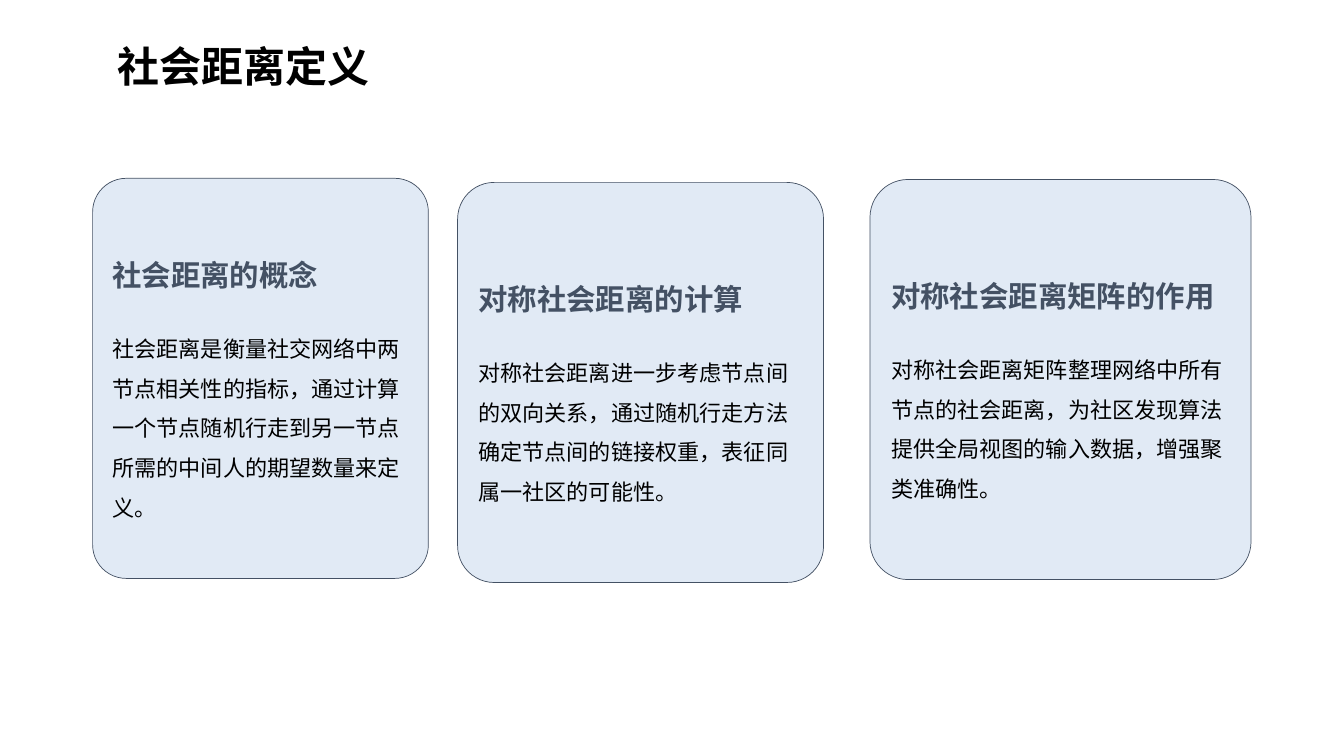
from dataclasses import dataclass

from lxml import etree
from pptx import Presentation
from pptx.dml.color import RGBColor
from pptx.enum.shapes import MSO_SHAPE
from pptx.enum.text import MSO_ANCHOR, MSO_AUTO_SIZE, PP_ALIGN
from pptx.oxml.ns import qn
from pptx.util import Pt

ROUNDED = MSO_SHAPE.ROUNDED_RECTANGLE
MIDDLE = MSO_ANCHOR.MIDDLE
LEFT = PP_ALIGN.LEFT
NO_FIT = MSO_AUTO_SIZE.NONE
TITLE_ONLY = 5


@dataclass(frozen=True)
class Theme:
    font: str = "Noto Sans CJK SC"
    ink: RGBColor = RGBColor(0x00, 0x00, 0x00)
    accent: RGBColor = RGBColor(0x44, 0x51, 0x64)
    card: RGBColor = RGBColor(0xE1, 0xEA, 0xF5)
    title_size: float = 30
    heading_size: float = 21
    body_size: float = 15.8
    heading_line: float = 30
    body_line: float = 28.4
    body_gap: float = 21


THEME = Theme()

TITLE = "社会距离定义"
TITLE_BOX = (77, 8.6, 738, 61.2)

CARD_HEIGHT = 285.8
# left, top, width, heading, body
CARDS = [
    (66.2, 127.4, 239.8, "社会距离的概念",
     "社会距离是衡量社交网络中两节点相关性的指标，通过计算一个节点随机行走到另一节点所需的中间人的期望数量来定义。"),
    (326.9, 130.3, 261.4, "对称社会距离的计算",
     "对称社会距离进一步考虑节点间的双向关系，通过随机行走方法确定节点间的链接权重，表征同属一社区的可能性。"),
    (621.4, 128.2, 272.2, "对称社会距离矩阵的作用",
     "对称社会距离矩阵整理网络中所有节点的社会距离，为社区发现算法提供全局视图的输入数据，增强聚类准确性。"),
]


def write(p, text, *, size, color, bold=False, line=None, before=0):
    """Fill one paragraph with a formatted run."""
    p.alignment = LEFT
    p.space_before = Pt(before)
    p.space_after = Pt(0)
    p.line_spacing = Pt(line) if line else 1.0
    r = p.add_run()
    r.text = text
    r.font.name = THEME.font
    r.font.size = Pt(size)
    r.font.bold = bold
    r.font.color.rgb = color
    ea = etree.SubElement(r.font._element, qn("a:ea"))
    ea.set("typeface", THEME.font)


def prepare_frame(tf, top, bottom):
    """Set wrapping, anchoring and vertical insets."""
    tf.word_wrap = True
    tf.auto_size = NO_FIT
    tf.vertical_anchor = MIDDLE
    tf.margin_top, tf.margin_bottom = Pt(top), Pt(bottom)


def add_title(slide, box, text):
    sp = slide.shapes.title
    sp.left, sp.top, sp.width, sp.height = map(Pt, box)
    prepare_frame(sp.text_frame, 15.4, 0)
    write(sp.text_frame.paragraphs[0], text, size=THEME.title_size,
          color=THEME.ink, bold=True)


def add_card(slide, box, heading, body):
    sp = slide.shapes.add_shape(ROUNDED, *map(Pt, box))
    sp.adjustments[0] = 0.1
    sp.shadow.inherit = False
    sp.fill.solid()
    sp.fill.fore_color.rgb = THEME.card
    sp.line.color.rgb = THEME.accent
    sp.line.width = Pt(0.5)

    tf = sp.text_frame
    prepare_frame(tf, 14, 3.6)
    write(tf.paragraphs[0], heading, size=THEME.heading_size,
          color=THEME.accent, bold=True, line=THEME.heading_line)
    write(tf.add_paragraph(), body, size=THEME.body_size, color=THEME.ink,
          line=THEME.body_line, before=THEME.body_gap)


def main():
    prs = Presentation()
    prs.slide_width, prs.slide_height = Pt(960), Pt(540)
    slide = prs.slides.add_slide(prs.slide_layouts[TITLE_ONLY])

    # Title
    add_title(slide, TITLE_BOX, TITLE)

    # Three definition cards
    for left, top, width, heading, body in CARDS:
        add_card(slide, (left, top, width, CARD_HEIGHT), heading, body)

    prs.save("out.pptx")


if __name__ == "__main__":
    main()
